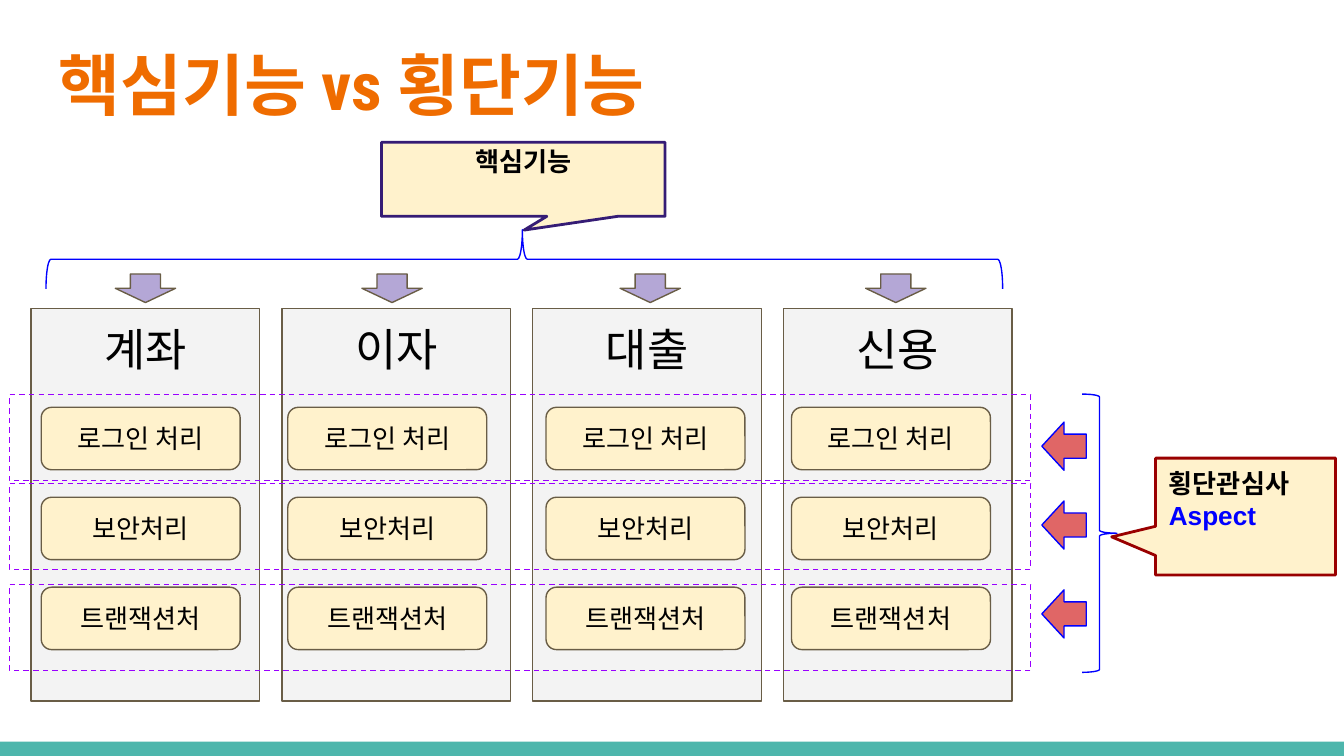
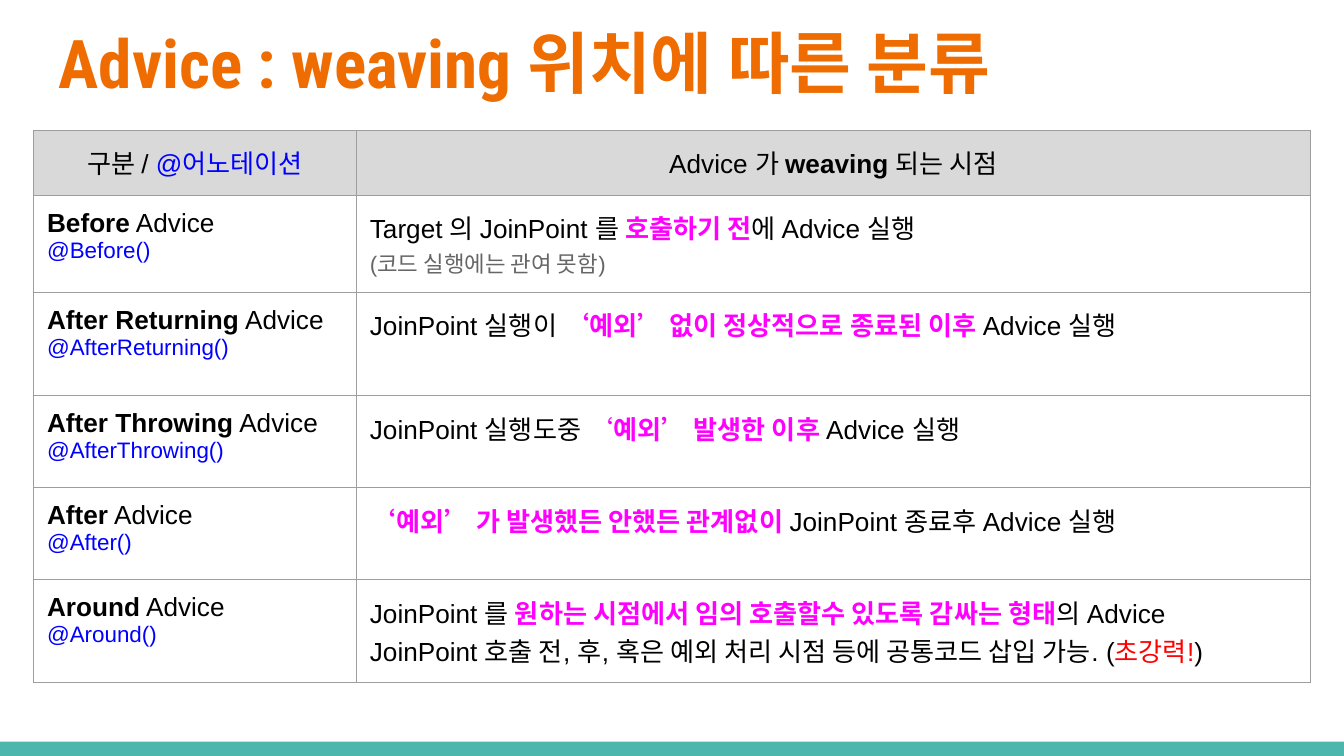
from lxml import etree
from pptx import Presentation
from pptx.dml.color import RGBColor
from pptx.enum.dml import MSO_LINE
from pptx.enum.shapes import MSO_SHAPE
from pptx.enum.text import MSO_ANCHOR, MSO_AUTO_SIZE, PP_ALIGN
from pptx.oxml.ns import qn
from pptx.util import Cm, Pt

RECT, ROUNDED = MSO_SHAPE.RECTANGLE, MSO_SHAPE.ROUNDED_RECTANGLE
BRACE, CALLOUT = MSO_SHAPE.RIGHT_BRACE, MSO_SHAPE.ROUNDED_RECTANGULAR_CALLOUT
DOWN, LEFTWARD = MSO_SHAPE.DOWN_ARROW, MSO_SHAPE.LEFT_ARROW
TOP, MIDDLE = MSO_ANCHOR.TOP, MSO_ANCHOR.MIDDLE
LEFT, CENTER = PP_ALIGN.LEFT, PP_ALIGN.CENTER
DASH = MSO_LINE.DASH

COLORS = {
    "band": "4DB6AC", "title": "EF6C00", "text": "000000", "blue": "0000FF",
    "column": "F3F3F3", "outline": "695D46", "cream": "FFF2CC",
    "purple": "9900FF", "violet": "351C75", "lilac": "B4A7D6",
    "maroon": "990000", "coral": "E06666", "header": "D9D9D9",
    "border": "9E9E9E", "pink": "FF00FF", "gray": "666666", "red": "FF0000",
}
BODY_FONT, TITLE_FONT = "Arial", "Roboto Condensed"
INSET = 0.25

FEATURES = ["계좌", "이자", "대출", "신용"]
CONCERNS = ["로그인 처리", "보안처리", "트랜잭션처"]
ITEM_LEFTS = [0.78, 5.44, 10.32, 14.96]
CONCERN_TOPS = [7.46, 9.14, 11.05]
ASPECT_ARROW_TOPS = [7.98, 9.47, 11.15]


def rgb(name):
    return RGBColor.from_string(COLORS[name])


def part(text, color="text", bold=False, size=14):
    return text, color, bold, size


def write(frame, lines, align=LEFT, font=BODY_FONT):
    for index, parts in enumerate(lines):
        paragraph = frame.add_paragraph() if index else frame.paragraphs[0]
        paragraph.alignment = align
        for text, color, bold, size in parts:
            run = paragraph.add_run()
            run.text = text
            run.font.name = font
            run.font.size = Pt(size)
            run.font.bold = bold
            run.font.color.rgb = rgb(color)


def set_margins(target, top=INSET):
    target.margin_left = target.margin_right = target.margin_bottom = Cm(INSET)
    target.margin_top = Cm(top)


def add_box(slide, kind, place, fill=None, line=None, width=0.75, adjust=()):
    box = slide.shapes.add_shape(kind, *(Cm(value) for value in place))
    box.shadow.inherit = False
    if fill:
        box.fill.solid()
        box.fill.fore_color.rgb = rgb(fill)
    else:
        box.fill.background()
    if line:
        box.line.color.rgb = rgb(line)
        box.line.width = Pt(width)
    else:
        box.line.fill.background()
    for index, value in enumerate(adjust):
        box.adjustments[index] = value
    return box


def add_label(box, lines, align=CENTER, anchor=MIDDLE, top=INSET):
    frame = box.text_frame
    frame.word_wrap = True
    frame.vertical_anchor = anchor
    set_margins(frame, top)
    write(frame, lines, align)


def add_title_slide(prs, title, top):
    slide = prs.slides.add_slide(prs.slide_layouts[5])
    heading = slide.shapes.title
    heading.left, heading.top = Cm(0.86), Cm(top)
    heading.width, heading.height = Cm(23.67), Cm(1.96)
    frame = heading.text_frame
    frame.auto_size = MSO_AUTO_SIZE.NONE
    frame.vertical_anchor = MIDDLE
    set_margins(frame)
    write(frame, [[part(title, "title", True, 36)]], font=TITLE_FONT)
    return slide


def add_master_band(prs, slide):
    band = add_box(slide, RECT, (0, 14.02, 25.4, 0.27), "band")
    prs.slide_master.shapes.element.insert(2, band.element)


def add_features(slide):
    for index, feature in enumerate(FEATURES):
        column = add_box(slide, RECT, (0.59 + 4.74 * index, 5.83, 4.32, 7.42),
                         "column", "outline")
        add_label(column, [[part(feature, size=24)]], anchor=TOP)
    for left in ITEM_LEFTS:
        for row, concern in enumerate(CONCERNS):
            item = add_box(slide, ROUNDED, (left, 7.7 + 1.7 * row, 3.76, 1.18),
                           "cream", "outline", adjust=[0.167])
            add_label(item, [[part(concern)]])
        add_box(slide, DOWN, (left + 1.4, 5.18, 1.14, 0.54), "lilac", "outline")


def add_concern_frames(slide):
    for frame_top, arrow_top in zip(CONCERN_TOPS, ASPECT_ARROW_TOPS):
        frame = add_box(slide, RECT, (0.18, frame_top, 19.3, 1.63), line="purple")
        frame.line.dash_style = DASH
        add_box(slide, LEFTWARD, (19.69, arrow_top, 0.84, 0.91), "coral", "blue")


def add_callouts(slide):
    add_box(slide, BRACE, (20.45, 7.45, 0.66, 5.26), line="blue",
            adjust=[0.083, 0.5])
    aspect = add_box(slide, CALLOUT, (21.84, 8.66, 3.4, 2.21), "cream", "maroon",
                     1.5, [-0.744, 0.174, 0])
    add_label(aspect, [[part("횡단관심사", bold=True)],
                       [part("Aspect", "blue", True)]], LEFT, TOP, 0.18)
    core_brace = add_box(slide, BRACE, (9.35, -4.14, 1.12, 18.08), line="blue",
                         adjust=[0.083, 0.498])
    core_brace.rotation = 270
    core = add_box(slide, CALLOUT, (7.21, 2.69, 5.36, 1.4), "cream", "violet",
                   1.5, [0.003, 0.686, 0])
    add_label(core, [[part("핵심기능", bold=True)]], anchor=TOP, top=0.05)


def advice(name):
    return [[part(name, bold=True), part(" Advice")],
            [part(f"@{name.replace(' ', '')}()", "blue", size=12)]]


def strong(text):
    return part(text, "pink", True)


def advice_rows():
    return [
        (1.23, [[part("구분 / "), part("@어노테이션", "blue")]],
         [[part("Advice 가 "), part("weaving ", bold=True), part("되는 시점")]]),
        (1.83, advice("Before"),
         [[part("Target 의 JoinPoint 를 "), strong("호출하기 전"),
           part("에 Advice 실행")],
          [part("(코드 실행에는 관여 못함)", "gray", size=12)]]),
        (1.95, advice("After Returning"),
         [[part("JoinPoint 실행이 "),
           strong("‘예외’ 없이 정상적으로 종료된 이후"), part(" Advice 실행")]]),
        (1.74, advice("After Throwing"),
         [[part("JoinPoint 실행도중 "), part("‘", "pink"),
           strong("예외’ 발생한 이후"), part(" Advice 실행")]]),
        (1.74, advice("After"),
         [[strong("‘예외’ 가 발생했든 안했든 관계없이"),
           part(" JoinPoint 종료후 Advice 실행")]]),
        (1.95, advice("Around"),
         [[part("JoinPoint 를 "),
           strong("원하는 시점에서 임의 호출할수 있도록 감싸는 형태"),
           part("의 Advice")],
          [part("JoinPoint 호출 전, 후, 혹은 예외 처리 시점 등에 공통코드 삽입 가능. ("),
           part("초강력!", "red"), part(")")]]),
    ]


def add_borders(cell):
    properties = cell._tc.get_or_add_tcPr()
    for index, side in enumerate(("lnL", "lnR", "lnT", "lnB")):
        line = etree.Element(qn(f"a:{side}"), w=str(Pt(0.75)))
        fill = etree.SubElement(line, qn("a:solidFill"))
        etree.SubElement(fill, qn("a:srgbClr"), val=COLORS["border"])
        properties.insert(index, line)


def add_advice_table(slide):
    rows = advice_rows()
    height = sum(row[0] for row in rows)
    table = slide.shapes.add_table(len(rows), 2, Cm(0.64), Cm(2.46),
                                   Cm(24.13), Cm(height)).table
    table.first_row = table.horz_banding = False
    for column, width in zip(table.columns, (6.1, 18.03)):
        column.width = Cm(width)
    for index, (row_height, *contents) in enumerate(rows):
        table.rows[index].height = Cm(row_height)
        for cell, lines in zip(table.rows[index].cells, contents):
            set_margins(cell)
            if index:
                cell.fill.background()
            else:
                cell.fill.solid()
                cell.fill.fore_color.rgb = rgb("header")
            add_borders(cell)
            write(cell.text_frame, lines, LEFT if index else CENTER)


def main():
    prs = Presentation()
    prs.slide_width, prs.slide_height = Cm(25.4), Cm(14.29)

    comparison = add_title_slide(prs, "핵심기능 vs 횡단기능", 0.61)
    add_master_band(prs, comparison)
    add_features(comparison)
    add_concern_frames(comparison)
    add_callouts(comparison)

    classification = add_title_slide(prs, "Advice : weaving 위치에 따른 분류", 0.18)
    add_advice_table(classification)
    prs.save("out.pptx")


if __name__ == "__main__":
    main()
